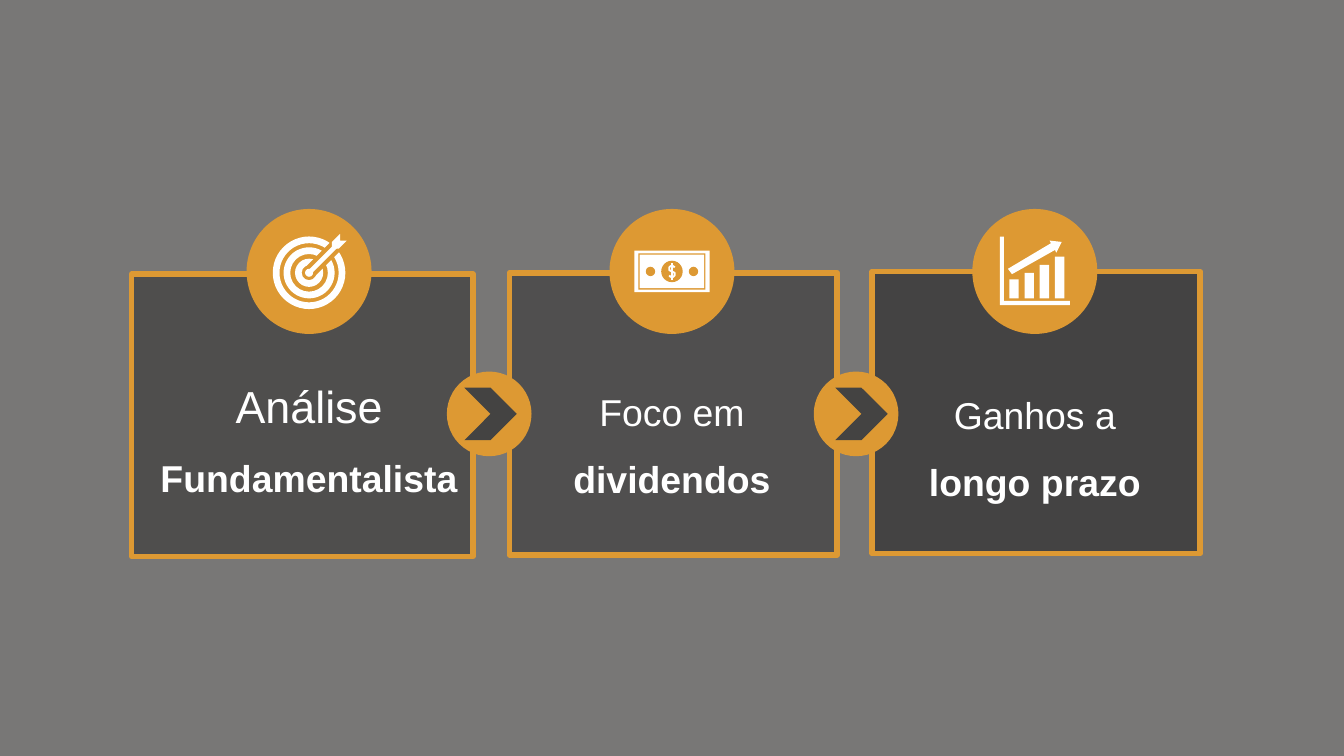
import pptx
import pptx.util
import pptx.dml.color
import pptx.enum.shapes
import pptx.enum.text
from lxml import etree

Inch, Pt = pptx.util.Inches, pptx.util.Pt
Kind = pptx.enum.shapes.MSO_SHAPE
HUES = {"back": "787776", "gold": "DD9933", "dark": "444342",
        "shade": "000000", "white": "FFFFFF"}

# Content: light words, their size, bold words
CARDS = [("Análise ", 24, "Fundamentalista"),
         ("Foco em ", 20, "dividendos"),
         ("Ganhos a ", 20, "longo prazo")]

# Cards: left, top, width, opacity in percent; text: top, width, height
BOXES = [(0.98, 2.04, 2.54, 34), (3.79, 2.03, 2.44, 33), (6.49, 2.02, 2.44, 43)]
TEXTS = [(2.57, 2.44, 1.15), (2.68, 1.99, 1.05), (2.7, 1.99, 1.05)]
STEPS = [(3.64, 3.65), (6.37, 6.41)]  # centres of disc and chevron
FIRST, PITCH, ROW = 2.3, 2.7, 2.02    # centres of the round badges
MIDS = [FIRST + PITCH * i for i in range(3)]

# A 16:9 slide
deck = pptx.Presentation()
deck.slide_width = Inch(10)
deck.slide_height = deck.slide_width * 9 // 16
slide = deck.slides.add_slide(deck.slide_layouts[6])


def hue(name):
    return pptx.dml.color.RGBColor.from_string(HUES[name])


def child(node, tag, **attrs):
    space = "{http://schemas.openxmlformats.org/drawingml/2006/main}"
    return etree.SubElement(node, space + tag, **attrs)


def paint(shape, name):
    shape.shadow.inherit = False
    shape.fill.solid()
    shape.fill.fore_color.rgb = hue(name)
    shape.line.fill.background()
    return shape


def add(kind, x, y, w, h, name):
    """Add a preset shape by its top left corner."""
    return paint(slide.shapes.add_shape(kind, Inch(x), Inch(y), Inch(w), Inch(h)), name)


def disc(x, y, size, name, kind=Kind.OVAL):
    """Add a shape of equal sides by its centre."""
    return add(kind, x - size / 2, y - size / 2, size, size, name)


def outline(points, shut=True):
    """Join points in inches; the builder counts in whole thousandths."""
    grid = [(round(x * 1000), round(y * 1000)) for x, y in points]
    build = slide.shapes.build_freeform(*grid[0], scale=Inch(1) / 1000)
    build.add_line_segments(grid[1:], close=shut)
    return build.convert_to_shape()


def stroke(shape, name, width):
    shape.line.color.rgb = hue(name)
    shape.line.width = Pt(width)


def rod(x1, y1, x2, y2, name, width):
    line = slide.shapes.add_connector(pptx.enum.shapes.MSO_CONNECTOR.STRAIGHT,
                                      Inch(x1), Inch(y1), Inch(x2), Inch(y2))
    stroke(line, name, width)
    child(line._element.spPr, "effectLst")


# Background
slide.background.fill.solid()
slide.background.fill.fore_color.rgb = hue("back")

# Cards with their badges
for (x, y, w, alpha), mid in zip(BOXES, MIDS):
    card = add(Kind.RECTANGLE, x, y, w, 2.1, "shade")
    color = card._element.spPr.find(".//{*}srgbClr")
    child(color, "alpha", val=str(alpha * 1000))
    stroke(card, "gold", 3)
    child(card.line._ln, "round")
    disc(mid, ROW, 0.93, "gold")

# Card text
for (light, size, bold), (y, w, h), mid in zip(CARDS, TEXTS, MIDS):
    box = slide.shapes.add_textbox(Inch(mid - w / 2), Inch(y), Inch(w), Inch(h))
    box.text_frame.word_wrap = True
    para = box.text_frame.paragraphs[0]
    para.alignment = pptx.enum.text.PP_ALIGN.CENTER
    para.line_spacing = 1.5
    para.font.name = "Arial"
    for words, points, heavy in ((light, size, False), (bold, 20, True)):
        run = para.add_run()
        run.text = words
        run.font.size, run.font.bold = Pt(points), heavy
        run.font.color.rgb = hue("white")

# Steps between the cards
for ring, tip in STEPS:
    disc(ring, 3.08, 0.63, "gold")
    disc(tip, 3.08, 0.39, "dark", Kind.CHEVRON)

# Growth chart icon: axes, bars on one base line, rising arrow
paint(outline([(7.44, 1.76), (7.47, 1.76), (7.47, 2.24), (7.96, 2.24),
               (7.96, 2.27), (7.44, 2.27)]), "white")
for i, top in enumerate((2.08, 2.03, 1.97, 1.91)):
    left = 7.51 + 0.34 * i / 3
    add(Kind.RECTANGLE, left, top, 0.07, 2.22 - top, "white")
paint(outline([(7.81, 1.79), (7.9, 1.8), (7.86, 1.88), (7.85, 1.86),
               (7.53, 2.04), (7.5, 2), (7.82, 1.81)]), "white")

# Banknote icon
mid = MIDS[1]
for w, h, name in ((0.56, 0.31, "white"), (0.5, 0.27, "gold"), (0.48, 0.25, "white")):
    add(Kind.RECTANGLE, mid - w / 2, ROW - h / 2, w, h, name)
for gap, size in ((-0.16, 0.07), (0, 0.16), (0.16, 0.07)):
    disc(mid + gap, ROW, size, "gold")
curve = outline([(mid + dx, ROW + dy) for dx, dy in (
    (0.02, -0.03), (0.01, -0.04), (-0.01, -0.04), (-0.02, -0.03), (-0.02, -0.01),
    (0.02, 0.01), (0.02, 0.03), (0.01, 0.04), (-0.01, 0.04), (-0.02, 0.03))], False)
curve.shadow.inherit = False
curve.fill.background()
stroke(curve, "white", 1)
rod(mid, ROW - 0.06, mid, ROW + 0.06, "white", 0.75)

# Target icon: rings, then an arrow with a clear margin
mid, row = MIDS[0], 2.03
for size in (0.54, 0.38, 0.21):
    disc(mid, row, size, "white", Kind.DONUT).adjustments[0] = 0.05 / size
rod(mid, row, 2.51, 1.82, "gold", 7)
disc(mid, row, 0.06, "white")
rod(mid, row, 2.5, 1.83, "white", 2.5)
paint(outline([(2.53, 1.74), (2.53, 1.79), (2.58, 1.79), (2.52, 1.85),
               (2.47, 1.85), (2.47, 1.8)]), "white")

deck.save("out.pptx")
